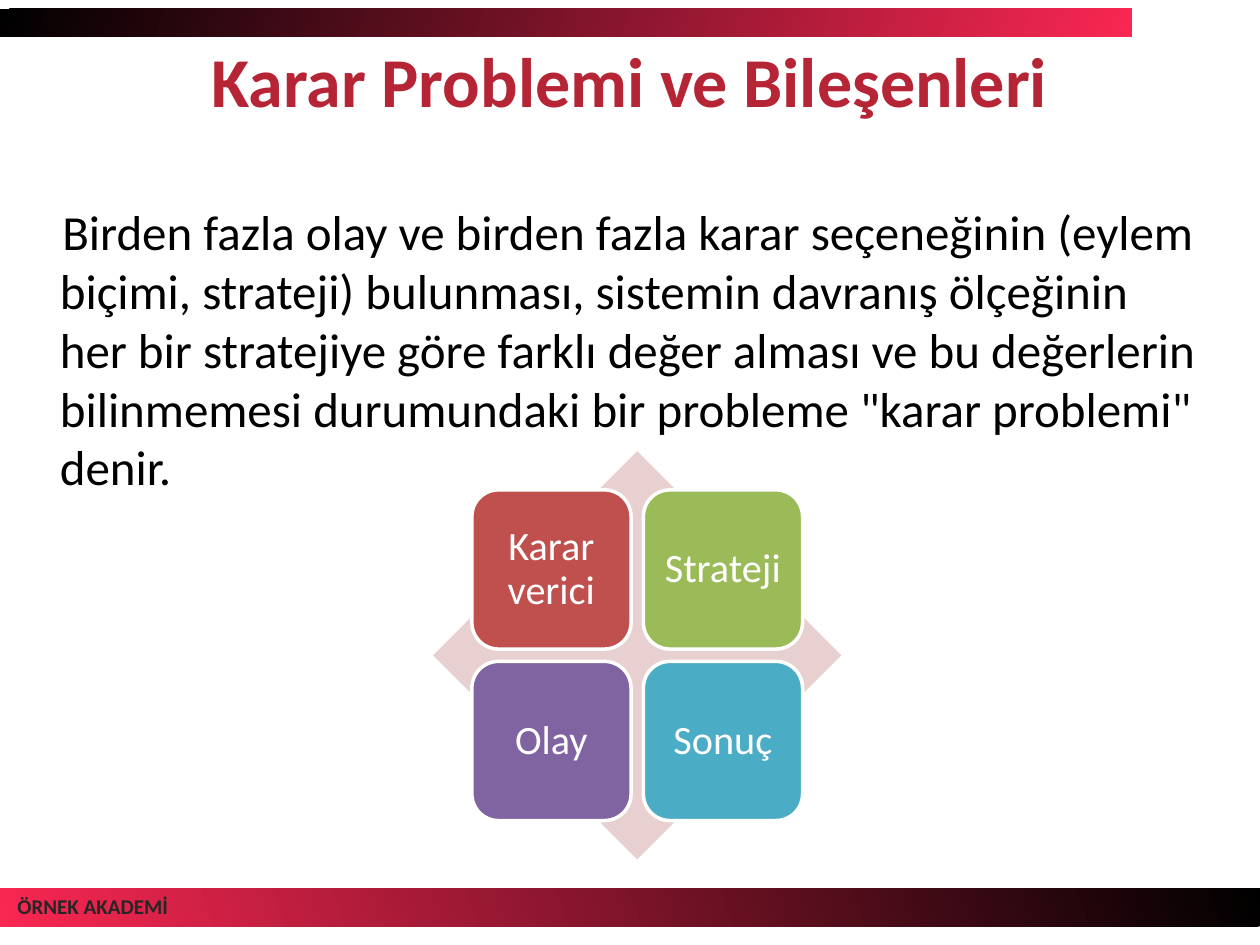
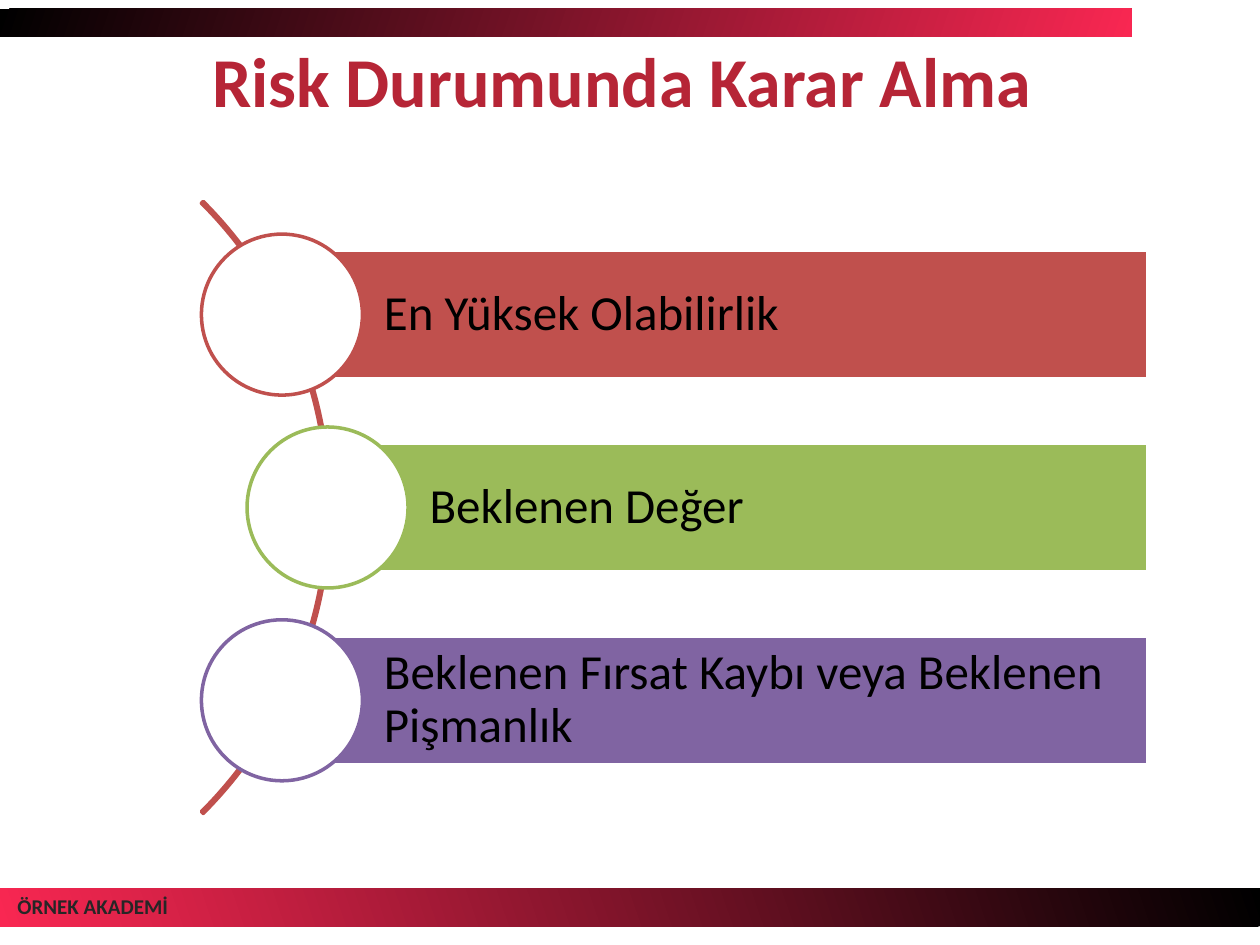
from math import sqrt

from pptx import Presentation
from pptx.dml.color import RGBColor
from pptx.enum.shapes import MSO_SHAPE
from pptx.enum.text import MSO_ANCHOR, MSO_AUTO_SIZE, PP_ALIGN
from pptx.oxml.ns import qn
from pptx.util import Pt

FONT = "Calibri"
BLACK = RGBColor(0x00, 0x00, 0x00)
WHITE = RGBColor(0xFF, 0xFF, 0xFF)
BAND_RED = RGBColor(0xF9, 0x27, 0x52)
TITLE_RED = RGBColor(0xB6, 0x25, 0x36)
FOOTER_GREY = RGBColor(0x26, 0x26, 0x26)
PALE_RED = RGBColor(0xE8, 0xD0, 0xD0)
RED = RGBColor(0xC0, 0x50, 0x4D)
GREEN = RGBColor(0x9B, 0xBB, 0x59)
PURPLE = RGBColor(0x80, 0x64, 0xA2)
BLUE = RGBColor(0x4B, 0xAC, 0xC6)

SLIDE_W, SLIDE_H = 720, 540
LAYOUT_CONTENT, LAYOUT_TITLE_ONLY = 1, 5
DEFAULT_INSETS = (7.2, 3.6, 7.2, 3.6)


def write(sp, text, size=28, color=BLACK, bold=False, align=PP_ALIGN.LEFT,
          anchor=MSO_ANCHOR.MIDDLE, insets=DEFAULT_INSETS, spacing=None,
          wrap=True, auto_size=MSO_AUTO_SIZE.NONE):
    """Fill a shape with one formatted paragraph and return the paragraph."""
    tf = sp.text_frame
    tf.word_wrap = wrap
    tf.auto_size = auto_size
    tf.vertical_anchor = anchor
    tf.margin_left, tf.margin_top, tf.margin_right, tf.margin_bottom = map(Pt, insets)
    p = tf.paragraphs[0]
    p.alignment = align
    p.space_before = Pt(0)
    if spacing:
        p.line_spacing = spacing
    r = p.add_run()
    r.text = text
    r.font.name = FONT
    r.font.size = Pt(size)
    r.font.bold = bold
    r.font.color.rgb = color
    return p


def place(sp, box):
    sp.left, sp.top, sp.width, sp.height = map(Pt, box)


def add_shape(slide, kind, box, fill=None, line=None):
    sp = slide.shapes.add_shape(kind, *map(Pt, box))
    sp.shadow.inherit = False
    if fill is None:
        sp.fill.background()
    else:
        sp.fill.solid()
        sp.fill.fore_color.rgb = fill
    if line is None:
        sp.line.fill.background()
    else:
        sp.line.color.rgb = line
        sp.line.width = Pt(2)
    return sp


def add_band(slide, box, flip=False):
    sp = add_shape(slide, MSO_SHAPE.RECTANGLE, box)
    sp.fill.gradient()
    sp.fill.gradient_angle = 341
    for stop, color in zip(sp.fill.gradient_stops, (BLACK, BAND_RED)):
        stop.color.rgb = color
    if flip:
        sp._element.spPr.find(qn("a:xfrm")).set("flipH", "1")


def add_base_slide(prs, layout, title):
    """Add a slide with the shared bands, footer and title."""
    slide = prs.slides.add_slide(prs.slide_layouts[layout])
    add_band(slide, (0, 507.6, SLIDE_W, 21.6), flip=True)
    add_band(slide, (0, 5.1, 646.6, 15.9))
    footer = slide.shapes.add_textbox(*map(Pt, (2.9, 506.9, 111.6, 21.6)))
    write(footer, "ÖRNEK AKADEMİ", size=12, color=FOOTER_GREY, bold=True,
          anchor=MSO_ANCHOR.TOP, wrap=False,
          auto_size=MSO_AUTO_SIZE.SHAPE_TO_FIT_TEXT)
    place(slide.shapes.title, (7.2, 28, 705, 34.6))
    write(slide.shapes.title, title, size=40, color=TITLE_RED, bold=True,
          align=PP_ALIGN.CENTER)
    return slide


def add_definition(slide, box, text):
    body = slide.placeholders[1]
    place(body, box)
    p = write(body, text, anchor=MSO_ANCHOR.TOP)
    pPr = p._p.get_or_add_pPr()
    pPr.set("marL", str(Pt(27)))
    pPr.set("indent", str(Pt(1.4)))
    pPr.append(pPr.makeelement(qn("a:buNone"), {}))


def add_matrix(slide, box, items):
    """Draw a diamond with a two by two grid of cards over it."""
    left, top, side, _ = box
    add_shape(slide, MSO_SHAPE.DIAMOND, box, PALE_RED)
    margin, card, step = 0.095 * side, 0.39 * side, 0.42 * side
    for i, (text, color) in enumerate(items):
        row, col = divmod(i, 2)
        sp = add_shape(slide, MSO_SHAPE.ROUNDED_RECTANGLE,
                       (left + margin + col * step, top + margin + row * step,
                        card, card), color, WHITE)
        write(sp, text, size=23, color=WHITE, align=PP_ALIGN.CENTER,
              insets=(7.2,) * 4, spacing=0.9)


def add_arc_list(slide, box, items):
    """Draw bars whose round heads sit on an arc at the left of the box."""
    left, top, width, height = box
    bar_h, circle, pitch = 73.4, 92, 110.2
    radius = 247.3
    track = radius - 1.4
    center_x, center_y = left - 173.2, top + height / 2
    arc = add_shape(slide, MSO_SHAPE.BLOCK_ARC,
                    (center_x - radius, center_y - radius, 2 * radius, 2 * radius),
                    line=RED)
    for i, value in enumerate((189, 27, 0.003)):
        arc.adjustments[i] = value
    for i, (text, color) in enumerate(items):
        dy = (i - (len(items) - 1) / 2) * pitch
        x, y = center_x + sqrt(track ** 2 - dy ** 2), center_y + dy
        bar = add_shape(slide, MSO_SHAPE.RECTANGLE,
                        (x, y - bar_h / 2, left + width - x, bar_h), color, WHITE)
        write(bar, text, insets=(58.3, 5.8, 5.8, 5.8), spacing=0.9)
        add_shape(slide, MSO_SHAPE.OVAL,
                  (x - circle / 2, y - circle / 2, circle, circle), WHITE, color)


def build_problem_slide(prs):
    slide = add_base_slide(prs, LAYOUT_CONTENT, "Karar Problemi ve Bileşenleri")
    add_definition(slide, (0, 111.6, 692, 170.6),
                   "Birden fazla olay ve birden fazla karar seçeneğinin (eylem "
                   "biçimi, strateji) bulunması, sistemin davranış ölçeğinin her "
                   "bir stratejiye göre farklı değer alması ve bu değerlerin "
                   "bilinmemesi durumundaki bir probleme \"karar problemi\" denir.")
    add_matrix(slide, (247.5, 257.8, 233.3, 233.3),
               [("Karar verici", RED), ("Strateji", GREEN),
                ("Olay", PURPLE), ("Sonuç", BLUE)])


def build_risk_slide(prs):
    slide = add_base_slide(prs, LAYOUT_TITLE_ONLY, "Risk Durumunda Karar Alma ")
    add_arc_list(slide, (114.5, 115, 541.5, 350),
                 [("En Yüksek Olabilirlik", RED), ("Beklenen Değer", GREEN),
                  ("Beklenen Fırsat Kaybı veya Beklenen Pişmanlık", PURPLE)])


def main():
    prs = Presentation()
    prs.slide_width, prs.slide_height = Pt(SLIDE_W), Pt(SLIDE_H)
    build_problem_slide(prs)
    build_risk_slide(prs)
    prs.save("out.pptx")


if __name__ == "__main__":
    main()
